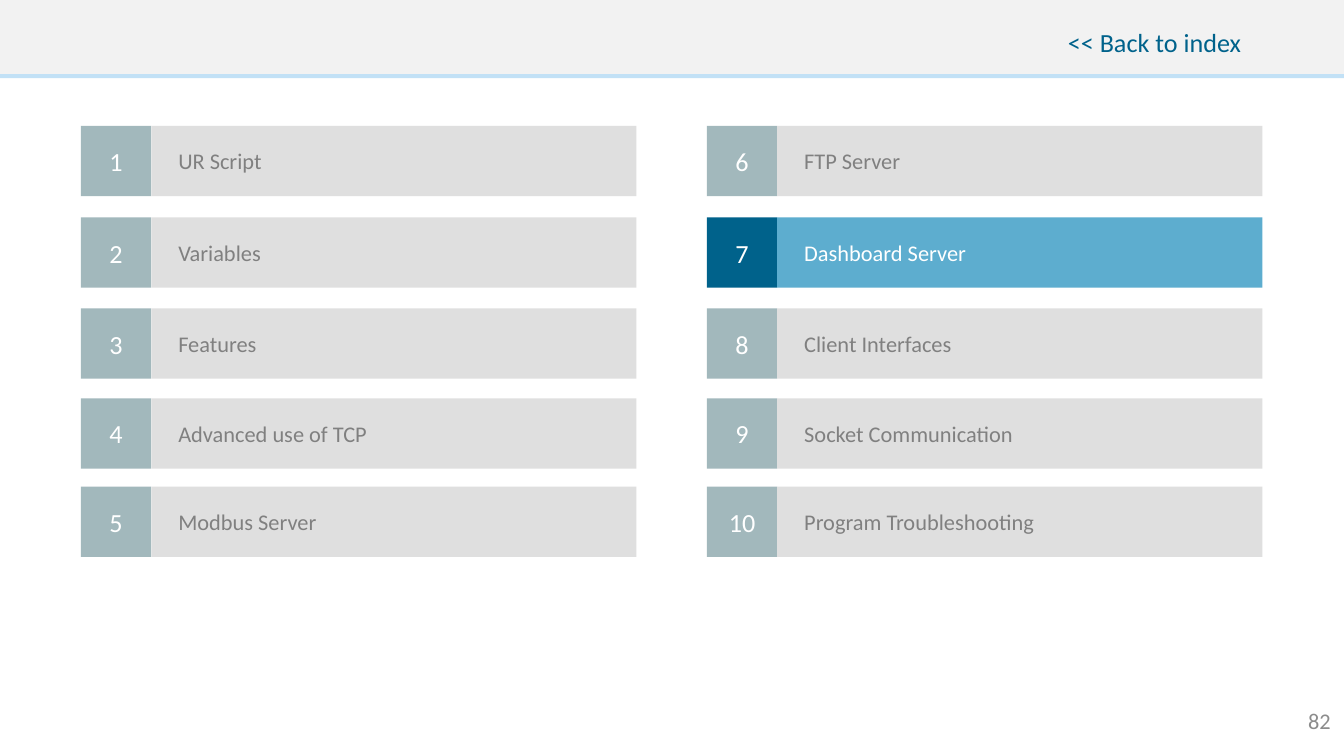
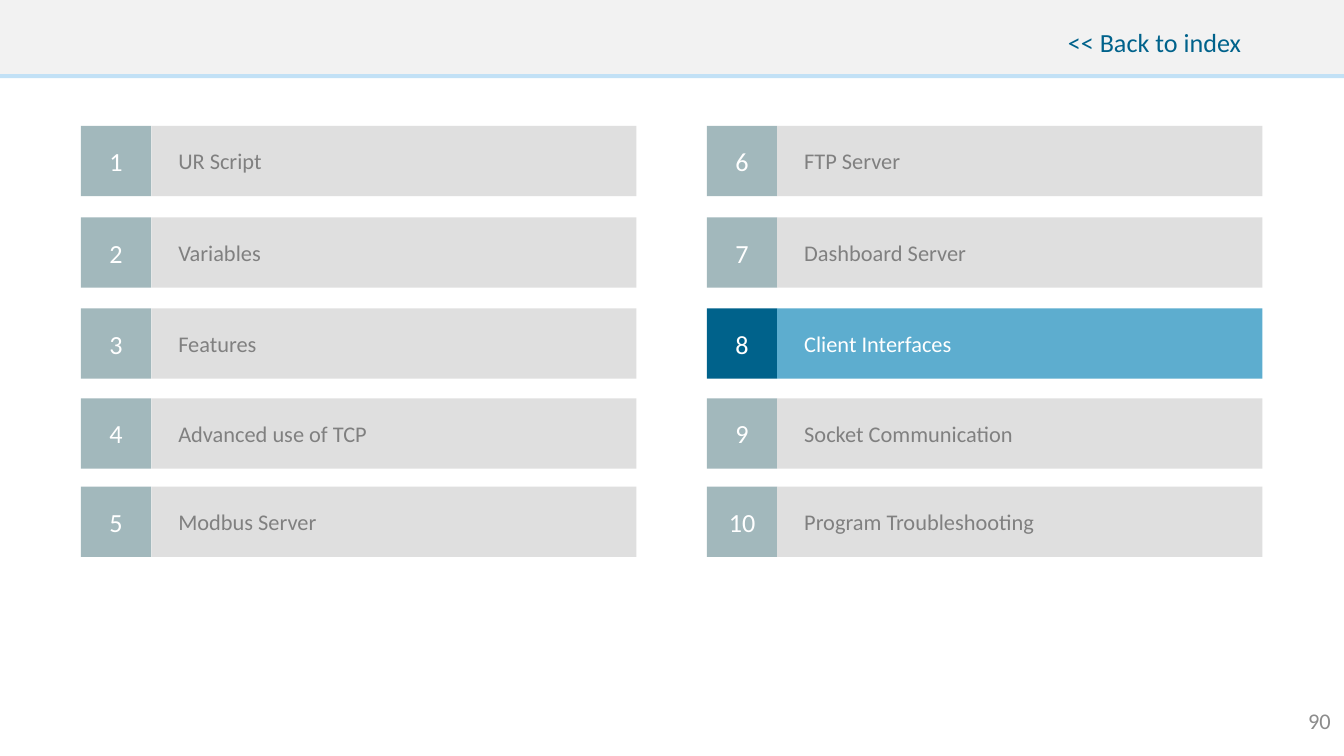
from dataclasses import dataclass

from pptx import Presentation
from pptx.dml.color import RGBColor
from pptx.enum.shapes import MSO_SHAPE
from pptx.enum.text import MSO_ANCHOR, PP_ALIGN
from pptx.util import Cm, Pt

RECT = MSO_SHAPE.RECTANGLE
LEFT, MID, RIGHT = PP_ALIGN.LEFT, PP_ALIGN.CENTER, PP_ALIGN.RIGHT
CENTER, BOTTOM = MSO_ANCHOR.MIDDLE, MSO_ANCHOR.BOTTOM


@dataclass(frozen=True)
class Theme:
    font: str = "Calibri"
    large: int = 14
    small: int = 12
    white: str = "FFFFFF"
    band: str = "F2F2F2"
    rule: str = "C2E1F6"
    navy: str = "00628B"
    blue: str = "5DADCF"
    sage: str = "A2B8BC"
    pale: str = "DFDFDF"
    gray: str = "808080"
    page: str = "8C8C8C"


T = Theme()

TOPICS = [
    "UR Script", "Variables", "Features", "Advanced use of TCP", "Modbus Server",
    "FTP Server", "Dashboard Server", "Client Interfaces",
    "Socket Communication", "Program Troubleshooting",
]
SLIDES = [(82, 7), (90, 8)]  # page number, current topic
COLS = [1.53, 13.36]
ROWS = [2.38, 4.11, 5.83, 7.53, 9.2]
SIDE, BAR = 1.33, 9.17
WIDTH, HEIGHT = 25.4, 14.29


def put_text(shape, text, *, size, color, align=LEFT, anchor=CENTER,
             inset=0, left=0):
    """Write one paragraph; inset is the left and right margin in cm."""
    frame = shape.text_frame
    frame.word_wrap = True
    frame.vertical_anchor = anchor
    frame.margin_left = Cm(inset + left)
    frame.margin_right = Cm(inset)
    frame.margin_top = frame.margin_bottom = 0
    para = frame.paragraphs[0]
    para.alignment = align
    run = para.add_run()
    run.text = text
    run.font.name = T.font
    run.font.size = Pt(size)
    run.font.color.rgb = RGBColor.from_string(color)


def add_box(slide, x, y, w, h, fill):
    box = slide.shapes.add_shape(RECT, Cm(x), Cm(y), Cm(w), Cm(h))
    box.shadow.inherit = False
    box.fill.solid()
    box.fill.fore_color.rgb = RGBColor.from_string(fill)
    box.line.fill.background()
    return box


deck = Presentation()
deck.slide_width, deck.slide_height = Cm(WIDTH), Cm(HEIGHT)
blank = deck.slide_layouts[6]

for page, current in SLIDES:
    slide = deck.slides.add_slide(blank)

    # Header band with its lower rule
    add_box(slide, 0, 0, WIDTH, 1.48, T.rule)
    add_box(slide, 0, 0, WIDTH, 1.4, T.band)
    back = slide.shapes.add_textbox(Cm(19.46), 0, Cm(4), Cm(1.09))
    put_text(back, "<< Back to index", size=T.large, color=T.navy,
             align=RIGHT, anchor=BOTTOM)

    # Index: two columns, filled downwards
    for i, topic in enumerate(TOPICS):
        col, row = divmod(i, len(ROWS))
        x, y = COLS[col], ROWS[row]
        active = i + 1 == current
        tile = add_box(slide, x, y, SIDE, SIDE, T.navy if active else T.sage)
        put_text(tile, str(i + 1), size=T.large, color=T.white, align=MID)
        bar = add_box(slide, x + SIDE, y, BAR, SIDE, T.blue if active else T.pale)
        put_text(bar, topic, size=T.small, left=0.51,
                 color=T.white if active else T.gray)

    foot = slide.shapes.add_textbox(Cm(22.86), Cm(13.24), Cm(2.54), Cm(0.76))
    put_text(foot, str(page), size=T.small, color=T.page, align=RIGHT, inset=0.25)

deck.save("out.pptx")
